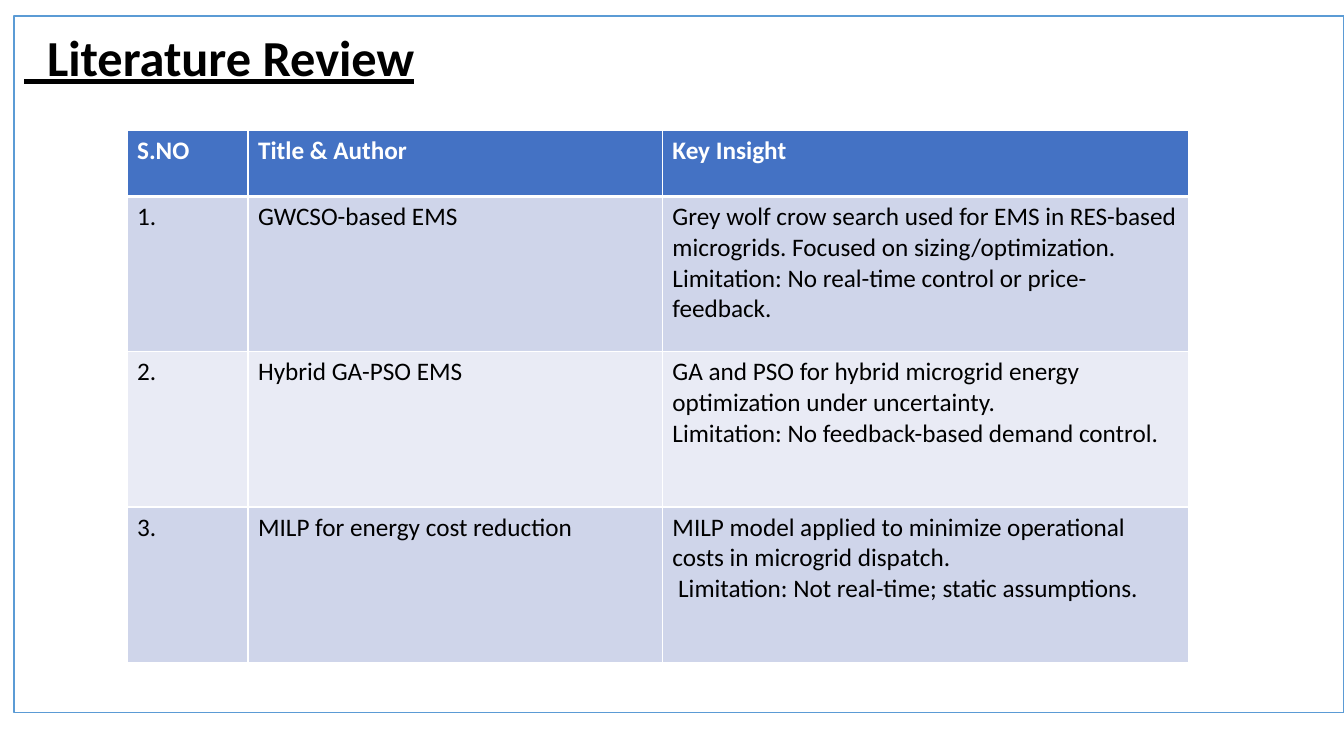
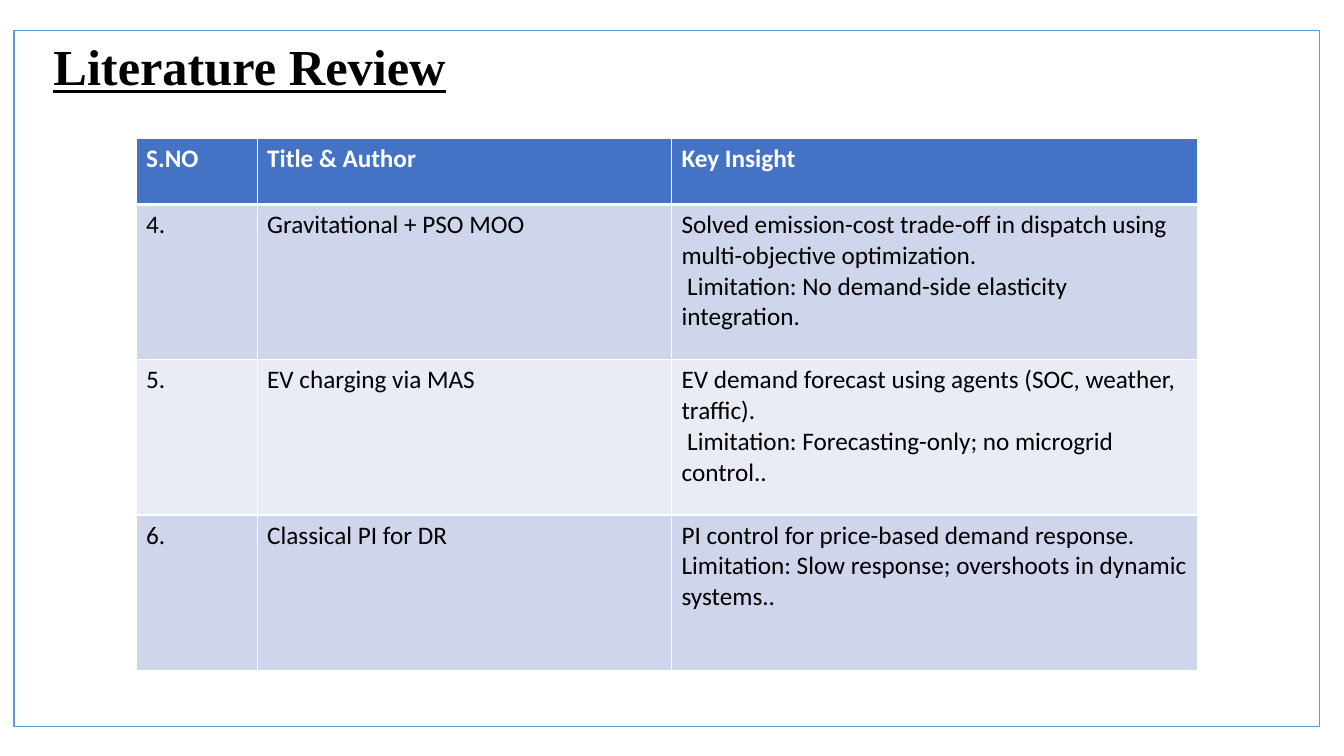
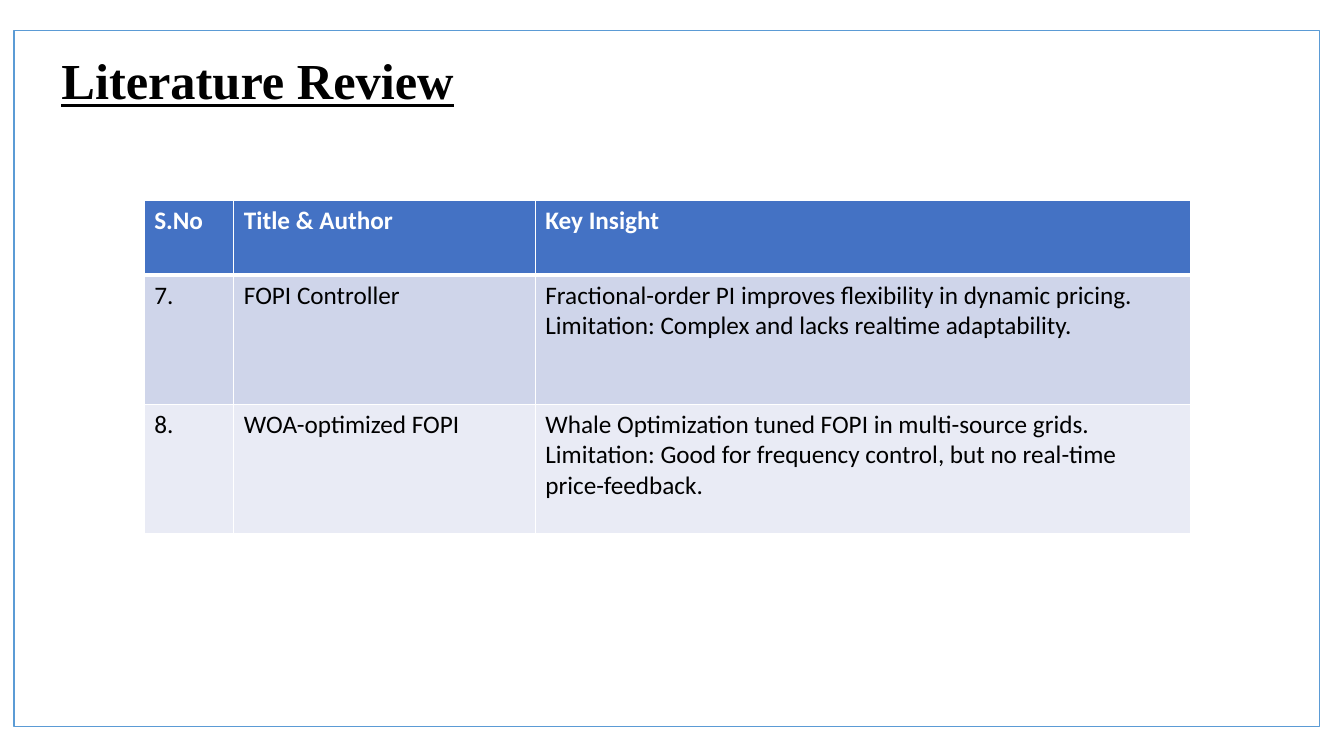
from dataclasses import dataclass

from lxml.etree import SubElement
from pptx import Presentation
from pptx.dml.color import RGBColor
from pptx.enum.shapes import MSO_SHAPE as Shape
from pptx.enum.text import MSO_ANCHOR as Anchor, PP_ALIGN as Align
from pptx.oxml.ns import qn
from pptx.slide import Slide
from pptx.table import _Cell as Cell
from pptx.util import Inches, Pt

COLOURS = {
    "paper": "FFFFFF",
    "ink": "000000",
    "frame": "5B9BD5",
    "header": "4472C4",
    "odd_row": "CFD5EA",
    "even_row": "E9EBF5",
}
BODY_FONT = "Calibri"
TITLE_ONLY = 5
FRAME_LEFT, FRAME_HEIGHT = 0.14, 6.91
TITLE_WIDTH, TITLE_HEIGHT = 5, 0.71
THIN, THICK = 1, 3


@dataclass(frozen=True)
class Study:
    number: str
    title: str
    insight: str


@dataclass(frozen=True)
class Grid:
    columns: tuple[float, ...]
    header_height: float
    row_height: float
    number_heading: str


@dataclass(frozen=True)
class ReviewPage:
    title: str
    title_font: str
    title_at: tuple[float, float]
    frame_top: float
    frame_width: float
    table_at: tuple[float, float]
    grid: Grid
    studies: tuple[Study, ...]


WIDE_TITLES = Grid((1.2, 4.11, 5.22), 0.66, 1.54, "S.NO")
WIDE_INSIGHTS = Grid((0.89, 2.99, 6.5), 0.74, 1.28, "S.No")

PAGES = (
    ReviewPage(
        "  Literature Review", BODY_FONT, (0.14, 0.21), 0.16, 13.19, (1.26, 1.29), WIDE_TITLES,
        (
            Study("1.", "GWCSO-based EMS",
                  "Grey wolf crow search used for EMS in RES-based microgrids. "
                  "Focused on sizing/optimization. "
                  "Limitation: No real-time control or price-feedback."),
            Study("2.", "Hybrid GA-PSO EMS",
                  "GA and PSO for hybrid microgrid energy optimization under uncertainty.\n"
                  "Limitation: No feedback-based demand control."),
            Study("3.", "MILP for energy cost reduction",
                  "MILP model applied to minimize operational costs in microgrid dispatch.\n"
                  " Limitation: Not real-time; static assumptions."),
        ),
    ),
    ReviewPage(
        "Literature Review", "Times New Roman", (0.43, 0.3), 0.3, 12.95, (1.35, 1.37), WIDE_TITLES,
        (
            Study("4.", "Gravitational + PSO MOO",
                  "Solved emission-cost trade-off in dispatch using multi-objective optimization.\n"
                  " Limitation: No demand-side elasticity integration."),
            Study("5.", "EV charging via MAS",
                  "EV demand forecast using agents (SOC, weather, traffic).\n"
                  " Limitation: Forecasting-only; no microgrid control.."),
            Study("6.", "Classical PI for DR",
                  "PI control for price-based demand response. "
                  "Limitation: Slow response; overshoots in dynamic systems.."),
        ),
    ),
    ReviewPage(
        "Literature Review", "Times New Roman", (0.51, 0.44), 0.3, 12.95, (1.43, 1.99), WIDE_INSIGHTS,
        (
            Study("7.", "FOPI Controller",
                  "Fractional-order PI improves flexibility in dynamic pricing. "
                  "Limitation: Complex and lacks realtime adaptability."),
            Study("8.", "WOA-optimized FOPI",
                  "Whale Optimization tuned FOPI in multi-source grids. "
                  "Limitation: Good for frequency control, but no real-time price-feedback."),
        ),
    ),
)


def colour(name: str) -> RGBColor:
    return RGBColor.from_string(COLOURS[name])


def draw_frame(slide: Slide, page: ReviewPage) -> None:
    """Outline the page, behind its title."""
    frame = slide.shapes.add_shape(
        Shape.RECTANGLE, Inches(FRAME_LEFT), Inches(page.frame_top),
        Inches(page.frame_width), Inches(FRAME_HEIGHT))
    frame.shadow.inherit = False
    frame.fill.solid()
    frame.fill.fore_color.rgb = colour("paper")
    frame.line.color.rgb = colour("frame")
    frame.line.width = Pt(1)
    slide.shapes.title.element.addprevious(frame.element)


def draw_title(slide: Slide, page: ReviewPage) -> None:
    title = slide.shapes.title
    title.left, title.top = (Inches(value) for value in page.title_at)
    title.width, title.height = Inches(TITLE_WIDTH), Inches(TITLE_HEIGHT)
    frame = title.text_frame
    frame.text = page.title
    frame.word_wrap = True
    frame.vertical_anchor = Anchor.TOP
    heading = frame.paragraphs[0]
    heading.alignment = Align.LEFT
    font = heading.runs[0].font
    font.name, font.size = page.title_font, Pt(36)
    font.bold = font.underline = True
    font.color.rgb = colour("ink")


def set_borders(cell: Cell, top: int, bottom: int) -> None:
    """Rule all four sides in white; call before filling the cell."""
    properties = cell._tc.get_or_add_tcPr()
    for side, points in (("L", THIN), ("R", THIN), ("T", top), ("B", bottom)):
        line = SubElement(properties, qn(f"a:ln{side}"), w=str(Pt(points)))
        fill = SubElement(line, qn("a:solidFill"))
        SubElement(fill, qn("a:srgbClr"), val=COLOURS["paper"])


def fill_cell(cell: Cell, text: str, row: int) -> None:
    is_header = row == 0
    set_borders(cell, THICK if row == 1 else THIN, THICK if is_header else THIN)
    cell.fill.solid()
    band = "header" if is_header else "odd_row" if row % 2 else "even_row"
    cell.fill.fore_color.rgb = colour(band)
    cell.text_frame.text = text
    for paragraph in cell.text_frame.paragraphs:
        for run in paragraph.runs:
            run.font.name, run.font.size = BODY_FONT, Pt(18)
            run.font.bold = is_header
            run.font.color.rgb = colour("paper" if is_header else "ink")


def draw_studies(slide: Slide, page: ReviewPage) -> None:
    grid = page.grid
    rows = [(grid.number_heading, "Title & Author", "Key Insight")]
    rows += [(study.number, study.title, study.insight) for study in page.studies]
    heights = [grid.header_height] + [grid.row_height] * len(page.studies)
    left, top = page.table_at
    table = slide.shapes.add_table(
        len(rows), len(grid.columns), Inches(left), Inches(top),
        Inches(sum(grid.columns)), Inches(sum(heights))).table
    for column, width in zip(table.columns, grid.columns):
        column.width = Inches(width)
    for row, (texts, height) in enumerate(zip(rows, heights)):
        table.rows[row].height = Inches(height)
        for column, text in enumerate(texts):
            fill_cell(table.cell(row, column), text, row)


def main() -> None:
    deck = Presentation()
    deck.slide_width, deck.slide_height = Inches(13.33), Inches(7.5)
    for page in PAGES:
        slide = deck.slides.add_slide(deck.slide_layouts[TITLE_ONLY])
        draw_title(slide, page)
        draw_frame(slide, page)
        draw_studies(slide, page)
    deck.save("out.pptx")


if __name__ == "__main__":
    main()
